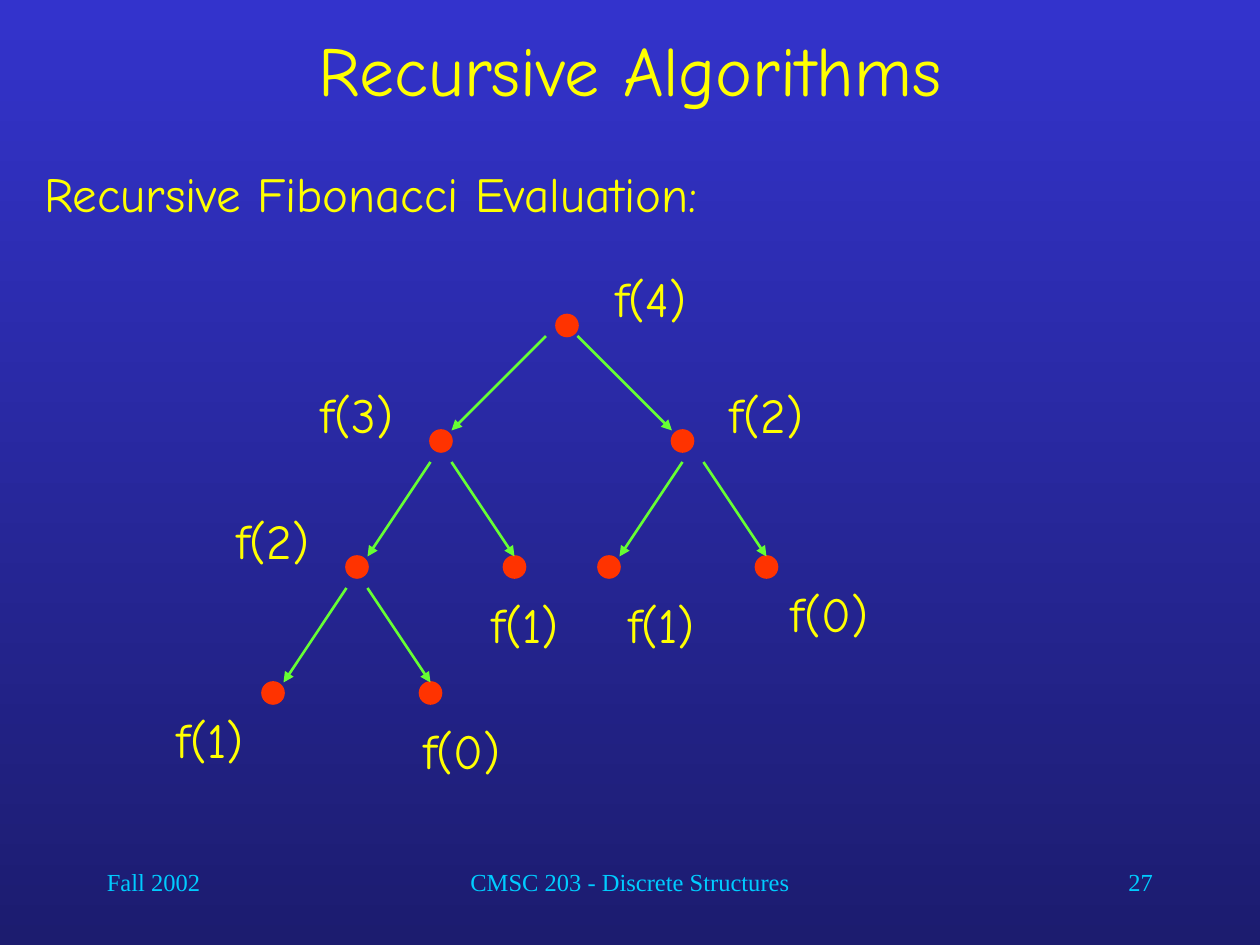
from dataclasses import dataclass

from lxml.etree import SubElement
from pptx import Presentation
from pptx.dml.color import RGBColor
from pptx.enum.shapes import MSO_CONNECTOR, MSO_SHAPE
from pptx.enum.text import MSO_ANCHOR, MSO_AUTO_SIZE, PP_ALIGN
from pptx.oxml.ns import qn
from pptx.util import Inches, Pt

# Content
TITLE = "Recursive Algorithms"
SUBTITLE = "Recursive Fibonacci Evaluation:"
# Footer: text, left, width, alignment (grid units)
FOOTER = [
    ("Fall 2002", 9, 25, PP_ALIGN.LEFT),
    ("CMSC 203 - Discrete Structures", 34, 52, PP_ALIGN.CENTER),
    ("27", 86, 25, PP_ALIGN.RIGHT),
]
# Calls: label, dot centre, label corner, incoming arrow (grid units)
# Arrow: horizontal run and horizontal offset of its head from the dot centre
LEFT, RIGHT = (-6, 1), (6, 0)
CALLS = [
    ("f(4)", (54, 31), (56, 25), None),
    ("f(3)", (42, 42), (28, 36), (-9, 1)),
    ("f(2)", (34, 54), (20, 48), LEFT),
    ("f(1)", (26, 66), (14, 67), LEFT),
    ("f(0)", (41, 66), (38, 68), RIGHT),
    ("f(1)", (49, 54), (44, 56), RIGHT),
    ("f(2)", (65, 42), (67, 36), (9, -1)),
    ("f(1)", (58, 54), (57, 56), LEFT),
    ("f(0)", (73, 54), (73, 55), RIGHT),
]


@dataclass(frozen=True)
class Theme:
    background: tuple = ("3333CC", "1C1C6F")
    dot: str = "FF3300"
    arrow: str = "66FF33"
    line_width: float = 1.5
    title = {"name": "Comic Neue", "size": 40, "color": "FFFF00"}
    body = {"name": "Comic Neue", "size": 28, "color": "FFFF00"}
    footer = {"name": "Times New Roman", "size": 14, "color": "00CCFF"}


THEME = Theme()

# Grid: 120 columns by 90 rows
COLUMNS = 120
SLIDE_WIDTH, SLIDE_HEIGHT = Inches(10), Inches(7.5)
DOT_SIZE, ARROW_DROP = 2, 9
LABEL_WIDTH, LABEL_HEIGHT = 12, 6.84


def grid(*units):
    return [round(unit * SLIDE_WIDTH / COLUMNS) for unit in units]


def place(shape, *box):
    for name, value in zip(("left", "top", "width", "height"), grid(*box)):
        setattr(shape, name, value)


def write(shape, text, font_values, **paragraph_values):
    frame = shape.text_frame
    frame.word_wrap = True
    frame.auto_size = MSO_AUTO_SIZE.NONE
    paragraph = frame.paragraphs[0]
    for name, value in paragraph_values.items():
        setattr(paragraph, name, value)
    run = paragraph.add_run()
    run.text = text
    for name, value in font_values.items():
        if name == "color":
            run.font.color.rgb = RGBColor.from_string(value)
        else:
            setattr(run.font, name, Pt(value) if name == "size" else value)
    return paragraph


def add_text(shapes, text, box, font_values, **paragraph_values):
    text_box = shapes.add_textbox(*grid(*box))
    write(text_box, text, font_values, **paragraph_values)
    return text_box


def set_line(line, color):
    line.color.rgb = RGBColor.from_string(color)
    line.width = Pt(THEME.line_width)


def add_call(slide, label, center, corner):
    group = slide.shapes.add_group_shape()
    dot_box = [value - DOT_SIZE / 2 for value in center] + [DOT_SIZE] * 2
    dot = group.shapes.add_shape(MSO_SHAPE.FLOWCHART_CONNECTOR, *grid(*dot_box))
    dot.shadow.inherit = False
    dot.fill.solid()
    dot.fill.fore_color.rgb = RGBColor.from_string(THEME.dot)
    set_line(dot.line, THEME.dot)
    text_box = add_text(group.shapes, label, (*corner, LABEL_WIDTH, LABEL_HEIGHT),
                        THEME.body, alignment=PP_ALIGN.CENTER, space_before=Pt(17.5))
    text_box.text_frame.auto_size = MSO_AUTO_SIZE.SHAPE_TO_FIT_TEXT


def add_arrow(slide, center, run, head_offset):
    end_x, end_y = center[0] + head_offset, center[1] - 1
    arrow = slide.shapes.add_connector(
        MSO_CONNECTOR.STRAIGHT, *grid(end_x - run, end_y - ARROW_DROP, end_x, end_y))
    set_line(arrow.line, THEME.arrow)
    properties = arrow._element.spPr
    SubElement(properties.find(qn("a:ln")), qn("a:tailEnd"), type="triangle")
    SubElement(properties, qn("a:effectLst"))


def main():
    presentation = Presentation()
    presentation.slide_width, presentation.slide_height = SLIDE_WIDTH, SLIDE_HEIGHT
    slide = presentation.slides.add_slide(presentation.slide_layouts[1])

    # Background
    fill = slide.background.fill
    fill.gradient()
    fill.gradient_angle = 270
    for position, (stop, color) in enumerate(zip(fill.gradient_stops, THEME.background)):
        stop.position = position
        stop.color.rgb = RGBColor.from_string(color)

    # Title and subtitle
    title, body = slide.placeholders
    place(title, 9, 2, 102, 9)
    write(title, TITLE, THEME.title, alignment=PP_ALIGN.CENTER)
    title.text_frame.vertical_anchor = MSO_ANCHOR.MIDDLE
    place(body, 3, 15, 115, 7)
    paragraph = write(body, SUBTITLE, THEME.body, space_before=Pt(7))
    properties = paragraph._p.get_or_add_pPr()
    for name in ("marL", "indent"):
        properties.set(name, "0")
    SubElement(properties, qn("a:buNone"))

    # Footer
    for text, left, width, alignment in FOOTER:
        add_text(slide.shapes, text, (left, 82, width, 6), THEME.footer,
                 alignment=alignment)

    # Call tree
    for label, center, corner, arrow in CALLS:
        add_call(slide, label, center, corner)
        if arrow:
            add_arrow(slide, center, *arrow)

    presentation.save("out.pptx")


if __name__ == "__main__":
    main()
